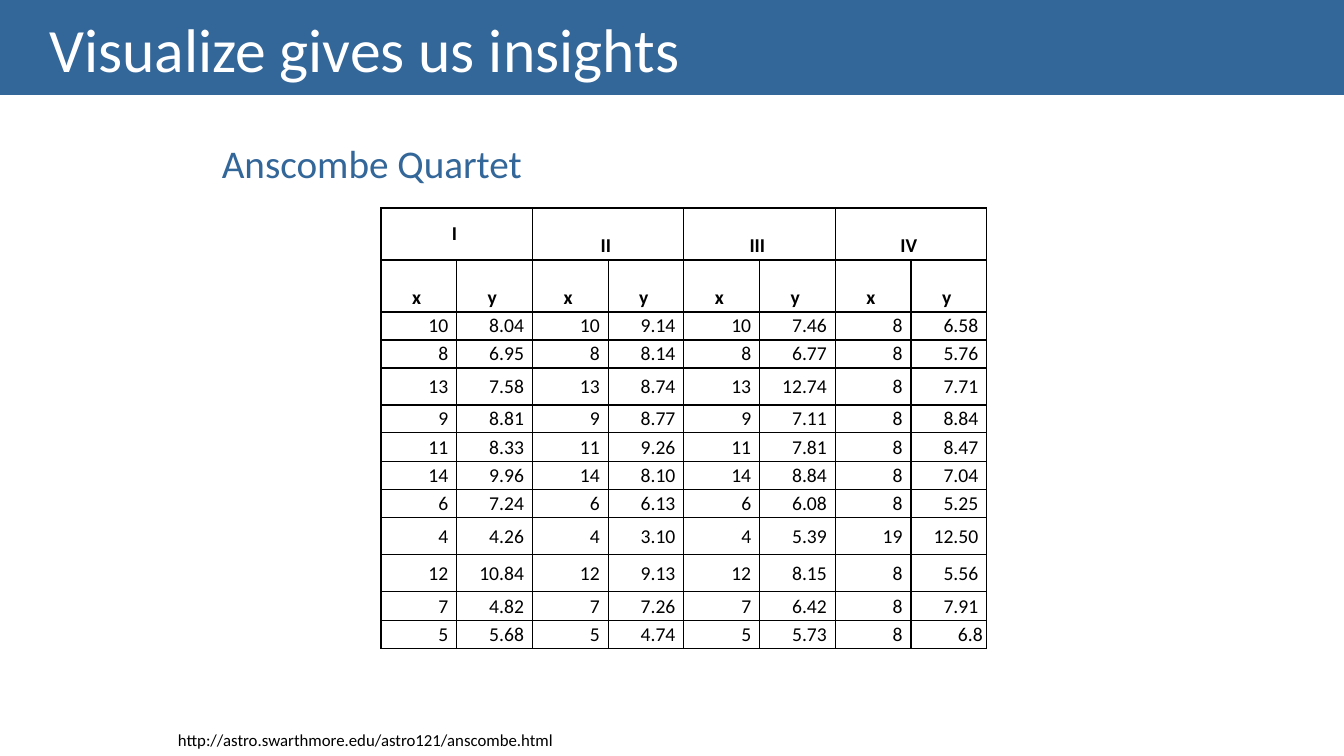
from lxml import etree
from pptx import Presentation
from pptx import util as u
from pptx.dml.color import RGBColor
from pptx.enum import text
from pptx.oxml.ns import qn

# Content
TITLE = "Visualize gives us insights"
SUBTITLE = "Anscombe Quartet"
SOURCE = "http://astro.swarthmore.edu/astro121/anscombe.html"
SETS = ["I", "II", "III", "IV"]
AXES = ["x", "y"]
POINTS = [
    ["10", "8.04", "10", "9.14", "10", "7.46", "8", "6.58"],
    ["8", "6.95", "8", "8.14", "8", "6.77", "8", "5.76"],
    ["13", "7.58", "13", "8.74", "13", "12.74", "8", "7.71"],
    ["9", "8.81", "9", "8.77", "9", "7.11", "8", "8.84"],
    ["11", "8.33", "11", "9.26", "11", "7.81", "8", "8.47"],
    ["14", "9.96", "14", "8.10", "14", "8.84", "8", "7.04"],
    ["6", "7.24", "6", "6.13", "6", "6.08", "8", "5.25"],
    ["4", "4.26", "4", "3.10", "4", "5.39", "19", "12.50"],
    ["12", "10.84", "12", "9.13", "12", "8.15", "8", "5.56"],
    ["7", "4.82", "7", "7.26", "7", "6.42", "8", "7.91"],
    ["5", "5.68", "5", "4.74", "5", "5.73", "8", "6.8"],
]

# Style and layout, lengths in px
FONT = "Calibri"
BLUE, WHITE, BLACK = "336699", "FFFFFF", "000000"
SLIDE = (1344, 756)
TITLE_BAND = (0, 0, 1344, 95)
TITLE_INDENT = 39
SUBTITLE_BOX = (212, 134, 324, 57)
SOURCE_BOX = (168, 725, 929, 30)
TABLE = (381, 208, 606, 441)
ROW_HEIGHTS = [52, 52, 28, 28, 37, 28, 29, 28, 28, 37, 37, 29, 28]
CELL_INSETS = (4, 2, 4, 2)


def px(length):
    return u.Emu(round(length * 914400 / 100.8))


def colour(value):
    return RGBColor.from_string(value)


def add_span(para, words, size, ink, bold=False):
    span = para.add_run()
    span.text = words
    span.font.name = FONT
    span.font.size = u.Pt(size)
    span.font.bold = bold
    span.font.color.rgb = colour(ink)


def add_label(page, place, words, size, ink, wrap):
    frame = page.shapes.add_textbox(*map(px, place)).text_frame
    frame.word_wrap = wrap
    frame.auto_size = text.MSO_AUTO_SIZE.SHAPE_TO_FIT_TEXT
    add_span(frame.paragraphs[0], words, size, ink)


def add_borders(cell):
    props = cell._tc.get_or_add_tcPr()
    for side in ("a:lnL", "a:lnR", "a:lnT", "a:lnB"):
        line = etree.SubElement(props, qn(side), w=str(u.Pt(1)))
        fill = etree.SubElement(line, qn("a:solidFill"))
        etree.SubElement(fill, qn("a:srgbClr"), val=BLACK)


def fill_cell(cell, words, align, anchor, bold):
    para = cell.text_frame.paragraphs[0]
    para.alignment = align
    cell.vertical_anchor = anchor
    add_span(para, words, 14, BLACK, bold)


def add_quartet(page):
    columns = len(SETS) * len(AXES)
    grid = page.shapes.add_table(len(ROW_HEIGHTS), columns, *map(px, TABLE)).table
    grid.horz_banding = False
    grid.first_row = False
    for column in grid.columns:
        column.width = px(TABLE[2] / columns)
    for row, height in zip(grid.rows, ROW_HEIGHTS):
        row.height = px(height)
    for cell in grid.iter_cells():
        (cell.margin_left, cell.margin_top,
         cell.margin_right, cell.margin_bottom) = map(px, CELL_INSETS)
        add_borders(cell)
        cell.fill.background()

    # Two header rows: set names over x and y
    center, right = text.PP_ALIGN.CENTER, text.PP_ALIGN.RIGHT
    middle, bottom = text.MSO_ANCHOR.MIDDLE, text.MSO_ANCHOR.BOTTOM
    for i, name in enumerate(SETS):
        first = i * len(AXES)
        cell = grid.cell(0, first)
        cell.merge(grid.cell(0, first + len(AXES) - 1))
        fill_cell(cell, name + " ", center, bottom if i else middle, True)
        for j, axis in enumerate(AXES):
            fill_cell(grid.cell(1, first + j), axis + " ", center, bottom, True)

    # Data rows; only the very last value has no trailing space
    for r, values in enumerate(POINTS):
        for c, value in enumerate(values):
            last = r == len(POINTS) - 1 and c == columns - 1
            words = value if last else value + " "
            fill_cell(grid.cell(r + 2, c), words, right, middle, False)


def main():
    deck = Presentation()
    deck.slide_width, deck.slide_height = map(px, SLIDE)
    page = deck.slides.add_slide(deck.slide_layouts[5])

    # Title band
    title = page.shapes.title
    title.left, title.top, title.width, title.height = map(px, TITLE_BAND)
    title.fill.solid()
    title.fill.fore_color.rgb = colour(BLUE)
    title.text_frame.vertical_anchor = text.MSO_ANCHOR.MIDDLE
    para = title.text_frame.paragraphs[0]
    para.alignment = text.PP_ALIGN.LEFT
    para._p.get_or_add_pPr().set("marL", str(px(TITLE_INDENT)))
    add_span(para, TITLE, 44, WHITE)

    # Table and labels
    add_quartet(page)
    add_label(page, SOURCE_BOX, SOURCE, 12, BLACK, True)
    add_label(page, SUBTITLE_BOX, SUBTITLE, 28, BLUE, False)
    deck.save("out.pptx")


if __name__ == "__main__":
    main()
